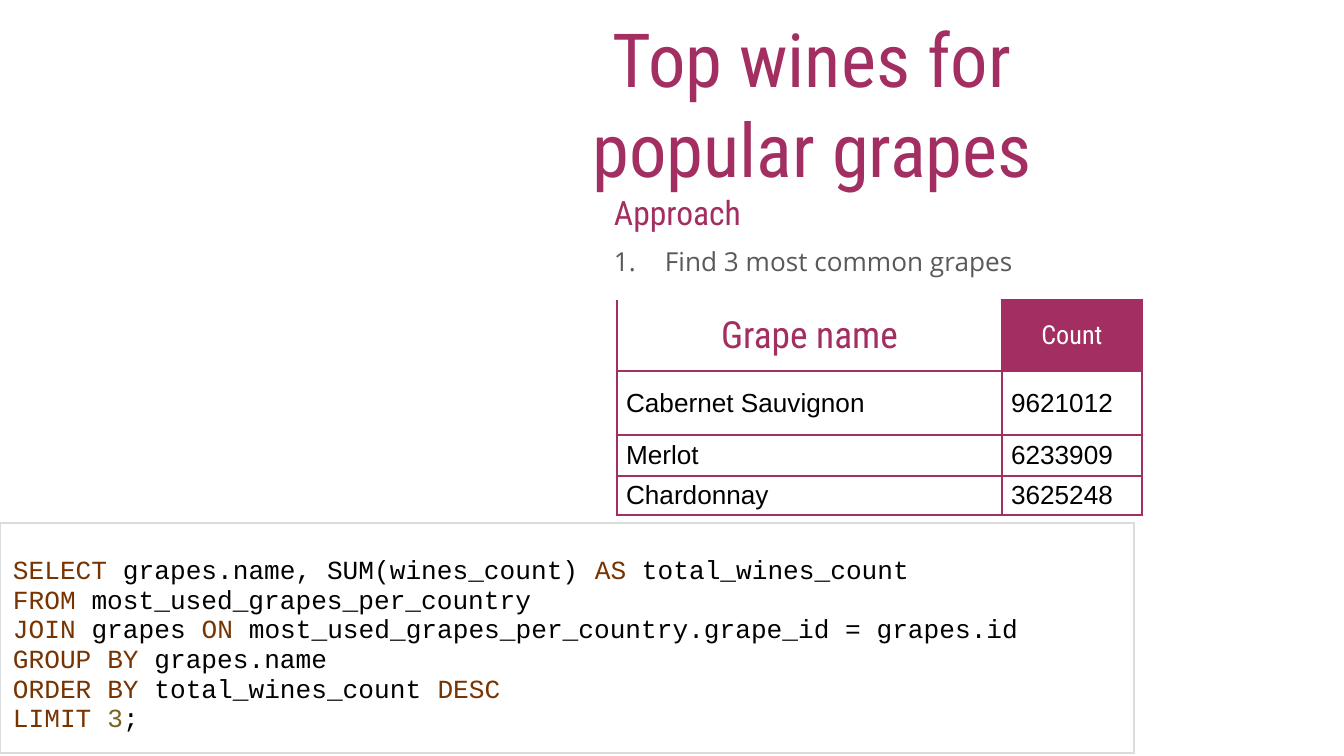
from lxml import etree
from pptx import Presentation, util as u
from pptx.dml.color import RGBColor
from pptx.enum import text
from pptx.oxml.ns import qn

EMU_PER_PX = 914400 / 134.4
COLORS = {"wine": "A32E61", "grey": "595959", "white": "FFFFFF", "black": "000000",
          "border": "DBDBDB", "keyword": "773300", "number": "776622"}
HEADING_FONT, BODY_FONT = "Roboto Condensed", "Open Sans"
TABLE_FONT, CODE_FONT = "Arial", "Courier New"

TITLE = "Top wines for popular grapes"
SUBTITLE = "Approach"
STEP = "Find 3 most common grapes"
GRAPE_ROWS = [("Grape name", "Count"), ("Cabernet Sauvignon", "9621012"),
              ("Merlot", "6233909"), ("Chardonnay", "3625248")]
COLUMN_WIDTHS, ROW_HEIGHTS = (385, 140), (71, 64, 41, 39)
QUERY = [
    ("SELECT", " grapes.name, SUM(wines_count) ", "AS", " total_wines_count"),
    ("FROM", " most_used_grapes_per_country"),
    ("JOIN", " grapes ", "ON", " most_used_grapes_per_country.grape_id = grapes.id"),
    ("GROUP", " ", "BY", " grapes.name"),
    ("ORDER", " ", "BY", " total_wines_count ", "DESC"),
    ("LIMIT", " ", "3", ";"),
]
KEYWORDS = {"SELECT", "AS", "FROM", "JOIN", "ON", "GROUP", "BY", "ORDER", "DESC", "LIMIT"}


def px(length):
    return u.Emu(round(length * EMU_PER_PX))


def rgb(color):
    return RGBColor.from_string(COLORS[color])


def style_run(run, size, font, color):
    run.font.size = u.Pt(size)
    run.font.name = font
    run.font.color.rgb = rgb(color)


def set_margins(target, left, top, right, bottom):
    target.margin_left, target.margin_top = px(left), px(top)
    target.margin_right, target.margin_bottom = px(right), px(bottom)


def add_text(slide, box, words, size, font, color, anchor=text.MSO_ANCHOR.TOP):
    frame = slide.shapes.add_textbox(*map(px, box)).text_frame
    frame.word_wrap = True
    frame.vertical_anchor = anchor
    set_margins(frame, 13, 13, 13, 13)
    frame.text = words
    paragraph = frame.paragraphs[0]
    style_run(paragraph.runs[0], size, font, color)
    return paragraph


def set_indent(paragraph, left, hanging):
    properties = paragraph._p.get_or_add_pPr()
    properties.set("marL", str(px(left)))
    properties.set("indent", str(-px(hanging)))
    return properties


def add_number(properties, color):
    bullet_color = etree.SubElement(properties, qn("a:buClr"))
    etree.SubElement(bullet_color, qn("a:srgbClr"), val=COLORS[color])
    etree.SubElement(properties, qn("a:buAutoNum"), type="arabicPeriod")


def set_borders(cell, color, points, hidden=""):
    """Draw the four cell edges, except those whose letter is in hidden."""
    properties = cell._tc.get_or_add_tcPr()
    for index, side in enumerate("LRTB"):
        line = etree.Element(qn(f"a:ln{side}"), w=str(u.Pt(points)))
        if side in hidden:
            etree.SubElement(line, qn("a:noFill"))
        else:
            fill = etree.SubElement(line, qn("a:solidFill"))
            etree.SubElement(fill, qn("a:srgbClr"), val=COLORS[color])
        properties.insert(index, line)


def add_table(slide, left, top, widths, heights):
    frame = slide.shapes.add_table(len(heights), len(widths), px(left), px(top),
                                   px(sum(widths)), px(sum(heights)))
    table = frame.table
    table.first_row = table.horz_banding = False
    for column, width in zip(table.columns, widths):
        column.width = px(width)
    for row, height in zip(table.rows, heights):
        row.height = px(height)
    return table


def add_query(slide):
    cell = add_table(slide, 0, 523, (1134,), (221,)).cell(0, 0)
    set_margins(cell, 13, 35, 13, 7)
    cell.fill.solid()
    cell.fill.fore_color.rgb = rgb("white")
    set_borders(cell, "border", 1)
    frame = cell.text_frame
    for index, tokens in enumerate(QUERY):
        paragraph = frame.add_paragraph() if index else frame.paragraphs[0]
        for token in tokens:
            color = "keyword" if token in KEYWORDS else "number" if token.isdigit() else "black"
            run = paragraph.add_run()
            run.text = token
            style_run(run, 14, CODE_FONT, color)


def add_grapes(slide):
    table = add_table(slide, 617, 300, COLUMN_WIDTHS, ROW_HEIGHTS)
    header_styles = [(20, HEADING_FONT, "wine"), (14, HEADING_FONT, "white")]
    for row, values in enumerate(GRAPE_ROWS):
        for column, value in enumerate(values):
            cell = table.cell(row, column)
            is_header = row == 0
            cell.text = value
            cell.vertical_anchor = text.MSO_ANCHOR.MIDDLE
            paragraph = cell.text_frame.paragraphs[0]
            if is_header:
                set_margins(cell, 13, 13, 13, 13)
                paragraph.alignment = text.PP_ALIGN.CENTER
                style_run(paragraph.runs[0], *header_styles[column])
            else:
                set_margins(cell, 9, 4, 9, 4)
                style_run(paragraph.runs[0], 14, TABLE_FONT, "black")
            if is_header and column == 1:
                cell.fill.solid()
                cell.fill.fore_color.rgb = rgb("wine")
            else:
                cell.fill.background()
            set_borders(cell, "wine", 1.5, hidden="T" if is_header and column == 0 else "")


def main():
    presentation = Presentation()
    presentation.slide_width, presentation.slide_height = px(1344), px(756)
    slide = presentation.slides.add_slide(presentation.slide_layouts[6])

    title = add_text(slide, (488, 0, 648, 124), TITLE, 40, HEADING_FONT, "wine")
    title.alignment = text.PP_ALIGN.CENTER
    subtitle = add_text(slide, (581, 179, 372, 66), SUBTITLE, 18, HEADING_FONT, "wine")
    set_indent(subtitle, 67, 47)
    step = add_text(slide, (581, 242, 648, 39), STEP, 14, BODY_FONT, "grey",
                    text.MSO_ANCHOR.MIDDLE)
    add_number(set_indent(step, 71, 51), "grey")
    add_query(slide)
    add_grapes(slide)
    presentation.save("out.pptx")


if __name__ == "__main__":
    main()
